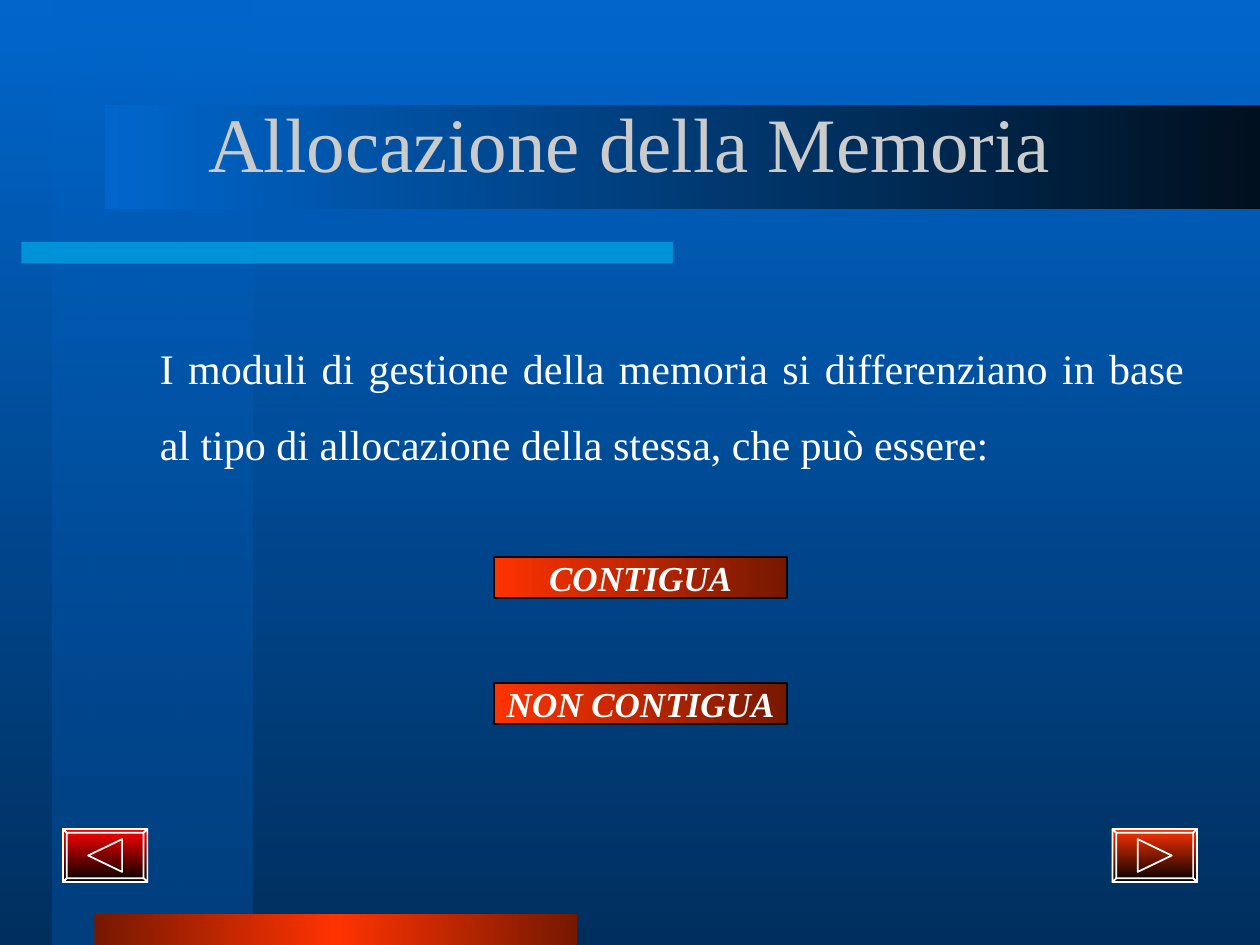
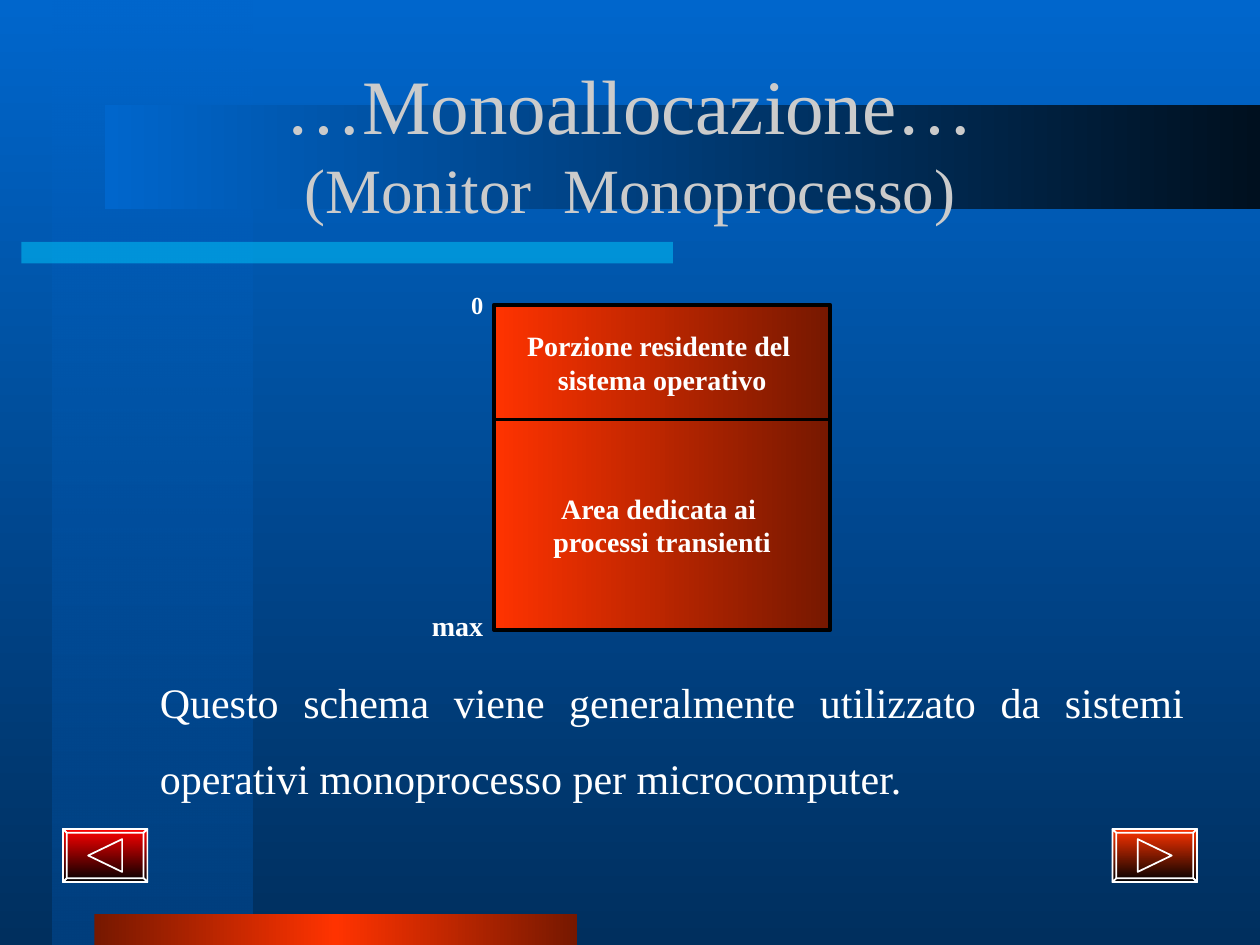
from copy import deepcopy

from lxml import etree
from pptx import Presentation
from pptx.dml.color import RGBColor
from pptx.enum.shapes import MSO_SHAPE
from pptx.enum.text import MSO_ANCHOR, MSO_AUTO_SIZE, PP_ALIGN
from pptx.oxml.ns import qn
from pptx.util import Inches, Pt

RECTANGLE = MSO_SHAPE.RECTANGLE
TOP, MIDDLE = MSO_ANCHOR.TOP, MSO_ANCHOR.MIDDLE
LEFT, CENTER, JUSTIFY = PP_ALIGN.LEFT, PP_ALIGN.CENTER, PP_ALIGN.JUSTIFY
NO_AUTOFIT = MSO_AUTO_SIZE.NONE

FONT = "Times New Roman"
COLORS = {
    "blue": "0066CC", "deep_blue": "002F5E", "column_blue": "003F7E",
    "night": "00101F", "cyan": "00CCFF", "orange": "FF3300",
    "brown": "761800", "red": "FF0000", "black": "000000",
    "white": "FFFFFF", "title": "CBCBCB",
}
RIGHTWARD, DOWNWARD = 0, 270
EMBER = [(0, "orange"), (100, "brown")]
TITLE_BOX = (0.75, 0.5, 8.5, 1.25)
BUTTON_SIZE = (0.67, 0.42)


def rgb(name):
    return RGBColor.from_string(COLORS[name])


def set_alpha(color_element, percent):
    etree.SubElement(color_element, qn("a:alpha")).set("val", str(percent * 1000))


def fill_gradient(fill, stops, angle):
    """Each stop is (position, colour) or (position, colour, opacity)."""
    fill.gradient()
    fill.gradient_angle = angle
    stop_list = next(fill._xPr.iter(qn("a:gsLst")))
    for old_stop in list(stop_list):
        stop_list.remove(old_stop)
    for position, color, *opacity in stops:
        stop = etree.SubElement(stop_list, qn("a:gs"), pos=str(position * 1000))
        color_element = etree.SubElement(stop, qn("a:srgbClr"), val=COLORS[color])
        if opacity:
            set_alpha(color_element, opacity[0])


def write_text(frame, text, size=24, color="white", bold=False, italic=False,
               align=LEFT, anchor=TOP, wrap=True, side_margin=0.1, line_spacing=None):
    """Write one paragraph per line; size may be a list with one size per line."""
    lines = text.split("\n")
    sizes = size if isinstance(size, list) else [size] * len(lines)
    frame.auto_size = NO_AUTOFIT
    frame.word_wrap = wrap
    frame.vertical_anchor = anchor
    frame.margin_left = frame.margin_right = Inches(side_margin)
    frame.margin_top = frame.margin_bottom = Inches(0.05)
    for index, (line, line_size) in enumerate(zip(lines, sizes)):
        paragraph = frame.add_paragraph() if index else frame.paragraphs[0]
        paragraph.alignment = align
        if line_spacing:
            paragraph.line_spacing = line_spacing
        run = paragraph.add_run()
        run.text = line
        font = run.font
        font.name, font.size = FONT, Pt(line_size)
        font.bold, font.italic = bold, italic
        font.color.rgb = rgb(color)


def add_rectangle(slide, box, stops=None, angle=RIGHTWARD, line_width=None):
    shape = slide.shapes.add_shape(RECTANGLE, *map(Inches, box))
    shape.shadow.inherit = False
    if stops:
        fill_gradient(shape.fill, stops, angle)
    if line_width:
        shape.line.color.rgb = rgb("black")
        shape.line.width = Pt(line_width)
    else:
        shape.line.fill.background()
    return shape


def add_text_box(slide, box, text, **text_format):
    shape = slide.shapes.add_textbox(*map(Inches, box))
    write_text(shape.text_frame, text, **text_format)


def decorate_master(presentation, slide):
    """Build the shared bands and move them behind the master placeholders."""
    master = presentation.slide_master
    fill_gradient(master.background.fill, [(0, "blue"), (100, "deep_blue")], DOWNWARD)

    side_column = add_rectangle(slide, (0.42, 0, 1.58, 7.5),
                                [(0, "blue", 50), (100, "column_blue")], DOWNWARD)
    underline = add_rectangle(slide, (0.17, 1.92, 5.17, 0.17))
    underline.fill.solid()
    underline.fill.fore_color.rgb = rgb("cyan")
    set_alpha(next(underline._element.spPr.iter(qn("a:srgbClr"))), 50)
    footer_band = add_rectangle(slide, (0.75, 7.25, 3.83, 0.25),
                                [(0, "brown"), (50, "orange"), (100, "brown")])
    title_band = add_rectangle(slide, (0.83, 0.83, 9.17, 0.83),
                               [(0, "blue"), (100, "night")])

    bands = [side_column, underline, footer_band, title_band]
    for index, band in enumerate(bands):
        band._element.nvSpPr.cNvPr.set("id", str(100 + index))
        master.shapes._spTree.insert(2 + index, band._element)


def split_contours(shape):
    """Give every contour of a freeform its own path, so that all are filled."""
    path_element = next(shape._element.iter(qn("a:path")))
    path_list = path_element.getparent()
    contour = None
    for step in list(path_element):
        if step.tag == qn("a:moveTo"):
            contour = etree.SubElement(path_list, qn("a:path"), dict(path_element.attrib))
        contour.append(deepcopy(step))
    path_list.remove(path_element)


def add_navigation_button(slide, left, top, top_color, forward):
    """Bevelled button with a triangle that points forward or back."""
    width, height = BUTTON_SIZE
    bevel = 0.03
    outer = [(0, 0), (width, 0), (width, height), (0, height)]
    inner = [(bevel, bevel), (width - bevel, bevel),
             (width - bevel, height - bevel), (bevel, height - bevel)]
    contours = [outer]
    for index in range(4):
        following = (index + 1) % 4
        contours.append([outer[index], outer[following], inner[following], inner[index]])
    triangle = [(0.2, 0.08), (0.47, height / 2), (0.2, height - 0.08)]
    contours.append(triangle if forward else [(width - x, y) for x, y in triangle])

    placed = [[(Inches(left + x), Inches(top + y)) for x, y in contour]
              for contour in contours]
    builder = slide.shapes.build_freeform(*placed[0][0])
    for index, (start, *rest) in enumerate(placed):
        if index:
            builder.move_to(*start)
        builder.add_line_segments(rest, close=True)
    button = builder.convert_to_shape()
    split_contours(button)
    button.shadow.inherit = False
    fill_gradient(button.fill, [(0, top_color), (100, "black")], DOWNWARD)
    button.line.color.rgb = rgb("white")
    button.line.width = Pt(1)


def add_page_frame(slide, title, size):
    """Title and the two navigation buttons."""
    shape = slide.shapes.title
    shape.left, shape.top, shape.width, shape.height = map(Inches, TITLE_BOX)
    write_text(shape.text_frame, title, size=size, color="title",
               align=CENTER, anchor=MIDDLE)
    add_navigation_button(slide, 8.83, 6.58, "orange", forward=True)
    add_navigation_button(slide, 0.5, 6.58, "red", forward=False)


def add_body(slide, top, text):
    add_text_box(slide, (1.17, top, 8.33, 1.3), text, align=JUSTIFY, line_spacing=1.5)


def add_choice_buttons(slide, left, top, labels, pitch=1):
    for index, label in enumerate(labels):
        box = (left, top + index * pitch, 2.33, 0.33)
        button = add_rectangle(slide, box, EMBER, line_width=1.25)
        write_text(button.text_frame, label, size=20, bold=True, italic=True,
                   align=CENTER, anchor=MIDDLE, wrap=False, side_margin=0.05)


def add_memory_map(slide, left, top, width, areas):
    """Stack the memory areas and mark the first and last address."""
    bottom = top
    for text, height in areas:
        area = add_rectangle(slide, (left, bottom, width, height), EMBER, line_width=2.25)
        write_text(area.text_frame, text, size=16, bold=True,
                   align=CENTER, anchor=MIDDLE, wrap=False)
        bottom += height
    add_text_box(slide, (left - 0.28, top - 0.17, 0.33, 0.34), "0", size=14, bold=True)
    add_text_box(slide, (left - 0.59, bottom - 0.22, 0.67, 0.37), "max", size=16, bold=True)


def build_allocation_slide(slide):
    add_page_frame(slide, "Allocazione della Memoria", 44)
    add_body(slide, 2.47, "I moduli di gestione della memoria si differenziano in base "
                          "al tipo di allocazione della stessa, che può essere:")
    add_choice_buttons(slide, 3.92, 4.42, ["CONTIGUA", "NON CONTIGUA"])


def build_single_allocation_slide(slide):
    add_page_frame(slide, "…Monoallocazione…\n(Monitor  Monoprocesso)", [44, 36])
    add_body(slide, 5.12, "Questo schema viene generalmente utilizzato da sistemi "
                          "operativi monoprocesso per microcomputer.")
    add_memory_map(slide, 3.92, 2.42, 2.67, [
        ("Porzione residente del \nsistema operativo", 0.91),
        ("Area dedicata ai \nprocessi transienti", 1.67),
    ])


def main():
    presentation = Presentation()
    presentation.slide_width, presentation.slide_height = Inches(10), Inches(7.5)
    title_only = presentation.slide_layouts[5]
    builders = [build_allocation_slide, build_single_allocation_slide]
    slides = [presentation.slides.add_slide(title_only) for _ in builders]
    decorate_master(presentation, slides[0])
    for build, slide in zip(builders, slides):
        build(slide)
    presentation.save("out.pptx")


if __name__ == "__main__":
    main()
